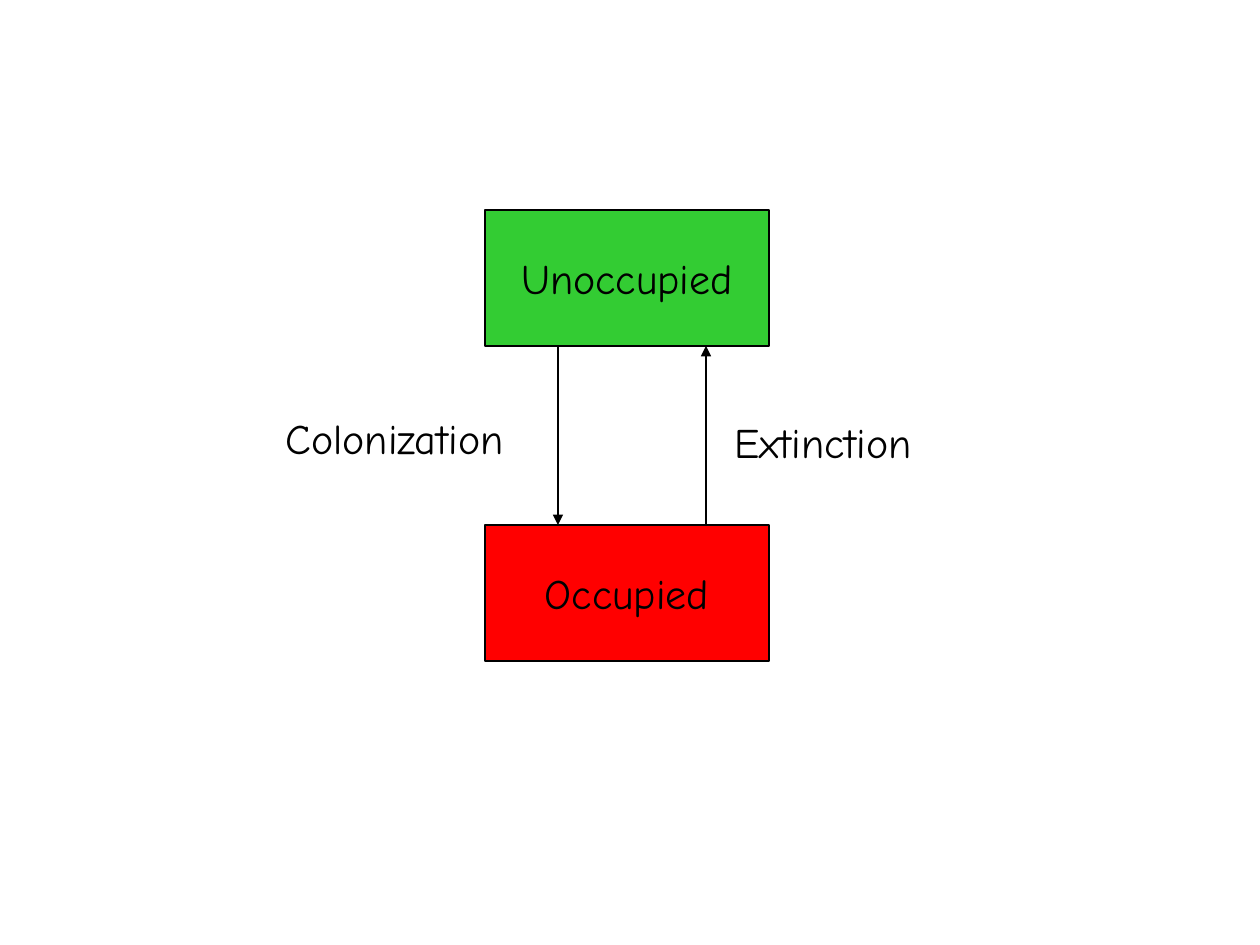
from lxml.etree import SubElement
from pptx import Presentation
from pptx.dml.color import RGBColor
from pptx.enum.shapes import MSO_CONNECTOR, MSO_SHAPE
from pptx.enum.text import MSO_ANCHOR, MSO_AUTO_SIZE, PP_ALIGN
from pptx.oxml.ns import qn
from pptx.util import Pt

SCALE = 914400 / 126
INK = "000000"


def px(*sizes):
    """Turn px lengths into EMU."""
    return [round(size * SCALE) for size in sizes]


def color(value):
    """Turn a hex string into a colour."""
    return RGBColor.from_string(value)


def write(frame, text, size=24, font="Comic Neue", ink=INK,
          align=PP_ALIGN.LEFT, anchor=MSO_ANCHOR.TOP):
    """Put one formatted line of text into a frame."""
    frame.word_wrap = False
    frame.vertical_anchor = anchor
    line = frame.paragraphs[0]
    line.alignment = align
    run = line.add_run()
    run.text = text
    run.font.size = Pt(size)
    run.font.name = font
    run.font.color.rgb = color(ink)


def add_state(slide, box, text, fill):
    """Draw one state as a filled box with centred text."""
    shape = slide.shapes.add_shape(MSO_SHAPE.RECTANGLE, *px(*box))
    shape.shadow.inherit = False
    shape.fill.solid()
    shape.fill.fore_color.rgb = color(fill)
    shape.line.color.rgb = color(INK)
    shape.line.width = Pt(0.75)
    write(shape.text_frame, text, align=PP_ALIGN.CENTER,
          anchor=MSO_ANCHOR.MIDDLE)


def add_arrow(slide, x, start, end):
    """Draw an upright arrow from start to end."""
    arrow = slide.shapes.add_connector(
        MSO_CONNECTOR.STRAIGHT, *px(x, start, x, end))
    arrow.line.color.rgb = color(INK)
    arrow.line.width = Pt(0.75)
    SubElement(arrow.line._get_or_add_ln(), qn("a:tailEnd"), type="triangle")
    SubElement(arrow._element.spPr, qn("a:effectLst"))


def add_label(slide, box, text):
    """Place a label that fits its text."""
    frame = slide.shapes.add_textbox(*px(*box)).text_frame
    write(frame, text)
    frame.auto_size = MSO_AUTO_SIZE.SHAPE_TO_FIT_TEXT


def add_cycle(slide, left, top, width, height):
    """Draw two states joined by a pair of opposite arrows."""
    tall = 136
    upper, lower = top + tall, top + height - tall
    add_state(slide, (left, top, width, tall), "Unoccupied", "33CC33")
    add_state(slide, (left, lower, width, tall), "Occupied", "FF0000")
    add_arrow(slide, left + 73, upper, lower)
    add_label(slide, (left - 212, upper + 60, 260, 63), "Colonization")
    add_arrow(slide, left + 221, lower, upper)
    add_label(slide, (left + 237, upper + 64, 227, 63), "Extinction")


def main():
    """Build and save the slide."""
    deck = Presentation()
    deck.slide_width, deck.slide_height = px(1260, 945)
    slide = deck.slides.add_slide(deck.slide_layouts[6])
    add_cycle(slide, 485, 210, 284, 451)
    deck.save("out.pptx")


if __name__ == "__main__":
    main()
